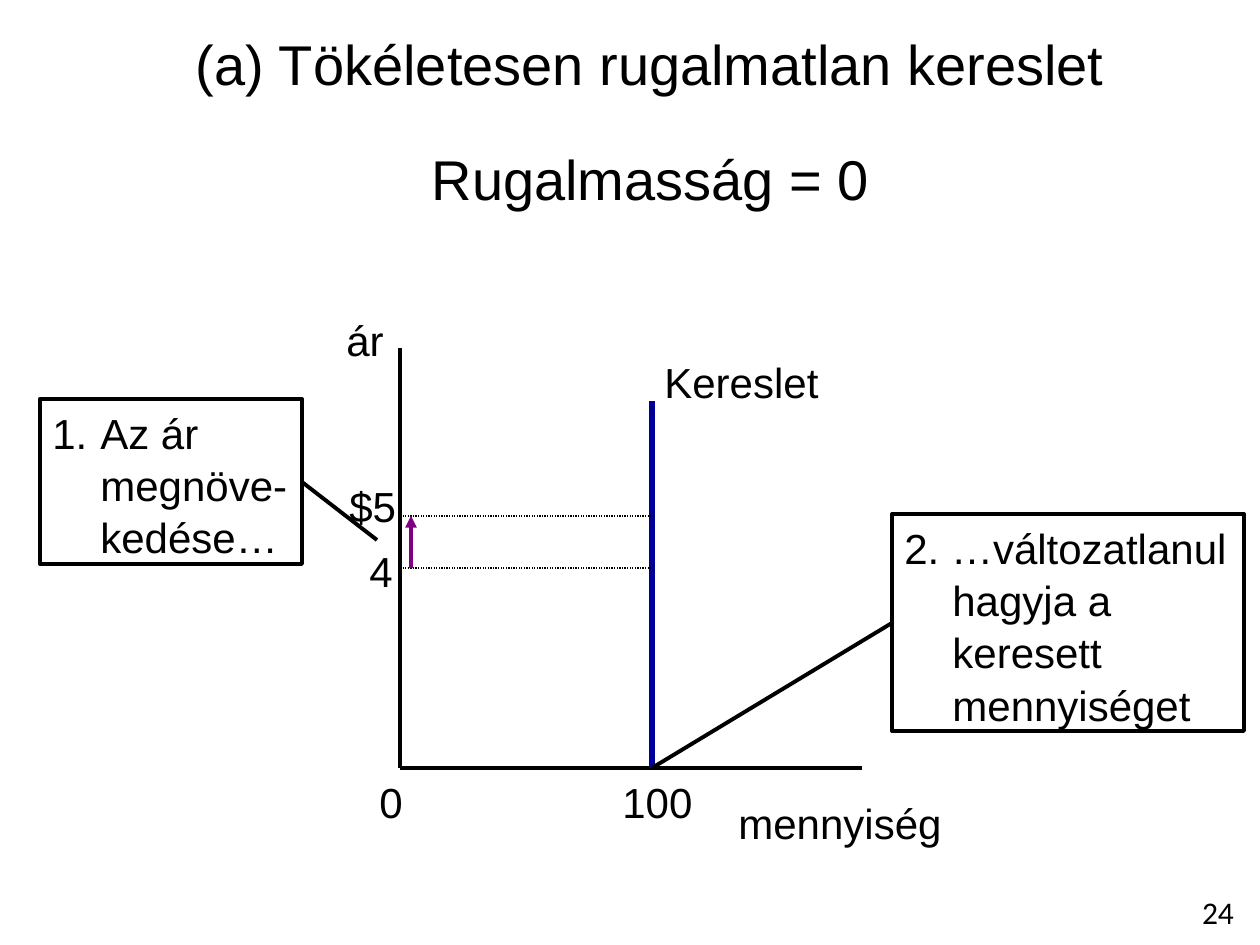
from lxml import etree
from pptx import Presentation
from pptx import util as u
from pptx.dml.color import RGBColor
from pptx.enum import dml, shapes, text
from pptx.oxml.ns import qn

PX = 914400 / 126
BLACK, BLUE, PURPLE = "000000", "000099", "800080"


def px(value):
    return u.Emu(round(value * PX))


def color(hex_value):
    return RGBColor.from_string(hex_value)


def format_text(frame, size, font="Arial", align=text.PP_ALIGN.LEFT):
    frame.word_wrap = False
    frame.auto_size = text.MSO_AUTO_SIZE.NONE
    for paragraph in frame.paragraphs:
        paragraph.alignment = align
        paragraph.line_spacing = 1.04
        for run in paragraph.runs:
            run.font.size = u.Pt(size)
            run.font.name = font
            run.font.color.rgb = color(BLACK)


def add_label(slide, words, box, size=24, **style):
    label = slide.shapes.add_textbox(*map(px, box))
    label.text_frame.text = words
    format_text(label.text_frame, size, **style)


def add_line(slide, start, end, line_color=BLACK, width=2.25, dotted=False, arrow=False):
    line = slide.shapes.add_connector(shapes.MSO_CONNECTOR.STRAIGHT, *map(px, start + end))
    line.line.color.rgb = color(line_color)
    line.line.width = u.Pt(width)
    if dotted:
        line.line.dash_style = dml.MSO_LINE.ROUND_DOT
    if arrow:
        etree.SubElement(line.line._get_or_add_ln(), qn("a:tailEnd"), type="triangle")
    etree.SubElement(line._element.spPr, qn("a:effectLst"))


def add_headings(slide, box):
    left, top, width, height = box
    title = slide.shapes.title
    title.left, title.top, title.width, title.height = map(px, box)
    title.text_frame.text = "(a) Tökéletesen rugalmatlan kereslet"
    title.text_frame.vertical_anchor = text.MSO_ANCHOR.TOP
    format_text(title.text_frame, 32, align=text.PP_ALIGN.CENTER)
    add_label(slide, "Rugalmasság = 0", (left, top + 115, width, height), 32,
              align=text.PP_ALIGN.CENTER)


def add_demand_graph(slide, box):
    left, top, width, height = box
    bottom = top + height
    demand = left + 252
    new_price, old_price = top + 168, top + 220

    add_line(slide, (left, top), (left, bottom))
    add_line(slide, (left, bottom), (left + width, bottom))
    add_line(slide, (demand, bottom), (demand, top + 53), BLUE, 3)
    for price in (new_price, old_price):
        add_line(slide, (left, price), (demand, price), width=0.75, dotted=True)
    add_line(slide, (left + 11, old_price), (left + 11, new_price), PURPLE, arrow=True)

    for words, x, y, label_width in (
        ("ár", -66, -42, 74),
        ("Kereslet", 252, 0, 181),
        ("$5", -63, 124, 73),
        ("4", -43, 189, 49),
        ("0", -33, height, 49),
        ("100", 210, height, 96),
        ("mennyiség", 326, height + 21, 243),
    ):
        add_label(slide, words, (left + x, top + y, label_width, 63))


def add_callout(slide, box, words, start, end, numbered=False):
    """Framed note with a hanging indent and a line to what it explains."""
    frame = slide.shapes.add_shape(shapes.MSO_SHAPE.RECTANGLE, *map(px, box))
    frame.shadow.inherit = False
    frame.fill.background()
    frame.line.color.rgb = color(BLACK)
    frame.line.width = u.Pt(2.25)
    frame.text_frame.text = words
    frame.text_frame.vertical_anchor = text.MSO_ANCHOR.TOP
    properties = frame.text_frame.paragraphs[0]._p.get_or_add_pPr()
    properties.set("marL", str(px(48)))
    properties.set("indent", str(-px(48)))
    if numbered:
        etree.SubElement(properties, qn("a:buFont"), typeface="Arial")
        etree.SubElement(properties, qn("a:buAutoNum"), type="arabicPeriod")
    format_text(frame.text_frame, 24)
    add_line(slide, start, end)


def main():
    presentation = Presentation()
    presentation.slide_width, presentation.slide_height = px(1260), px(945)
    slide = presentation.slides.add_slide(presentation.slide_layouts[5])

    add_headings(slide, (180, 21, 941, 81))
    add_demand_graph(slide, (400, 348, 462, 420))
    add_callout(slide, (40, 399, 262, 165), "Az ár\vmegnöve-\vkedése…",
                (377, 540), (302, 482), numbered=True)
    add_callout(slide, (892, 514, 352, 217),
                "2. …változatlanul\vhagyja a\vkeresett\vmennyiséget",
                (652, 768), (892, 623))
    add_label(slide, "24", (1176, 885, 84, 50), 18, font="Calibri",
              align=text.PP_ALIGN.CENTER)
    presentation.save("out.pptx")


if __name__ == "__main__":
    main()
